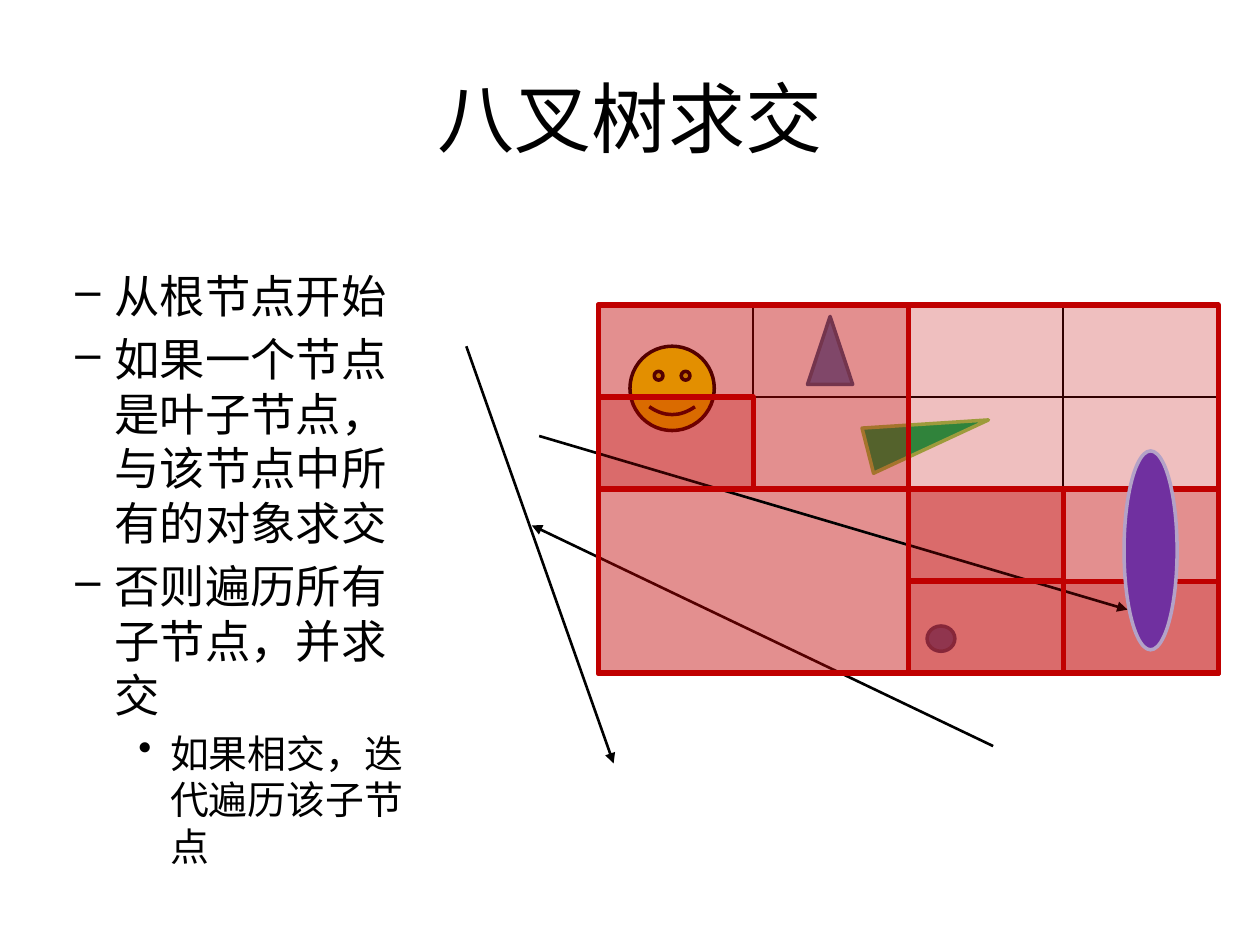
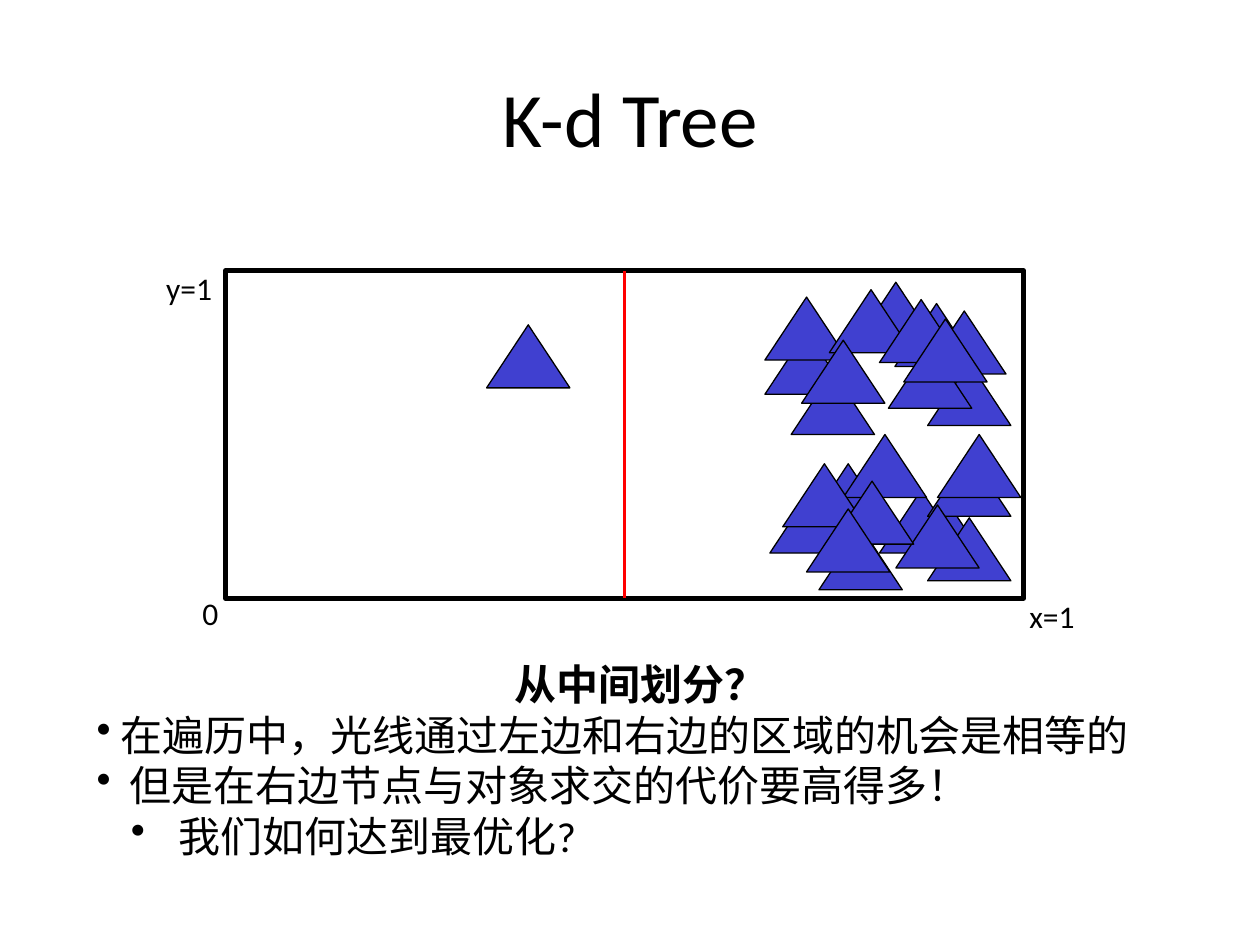
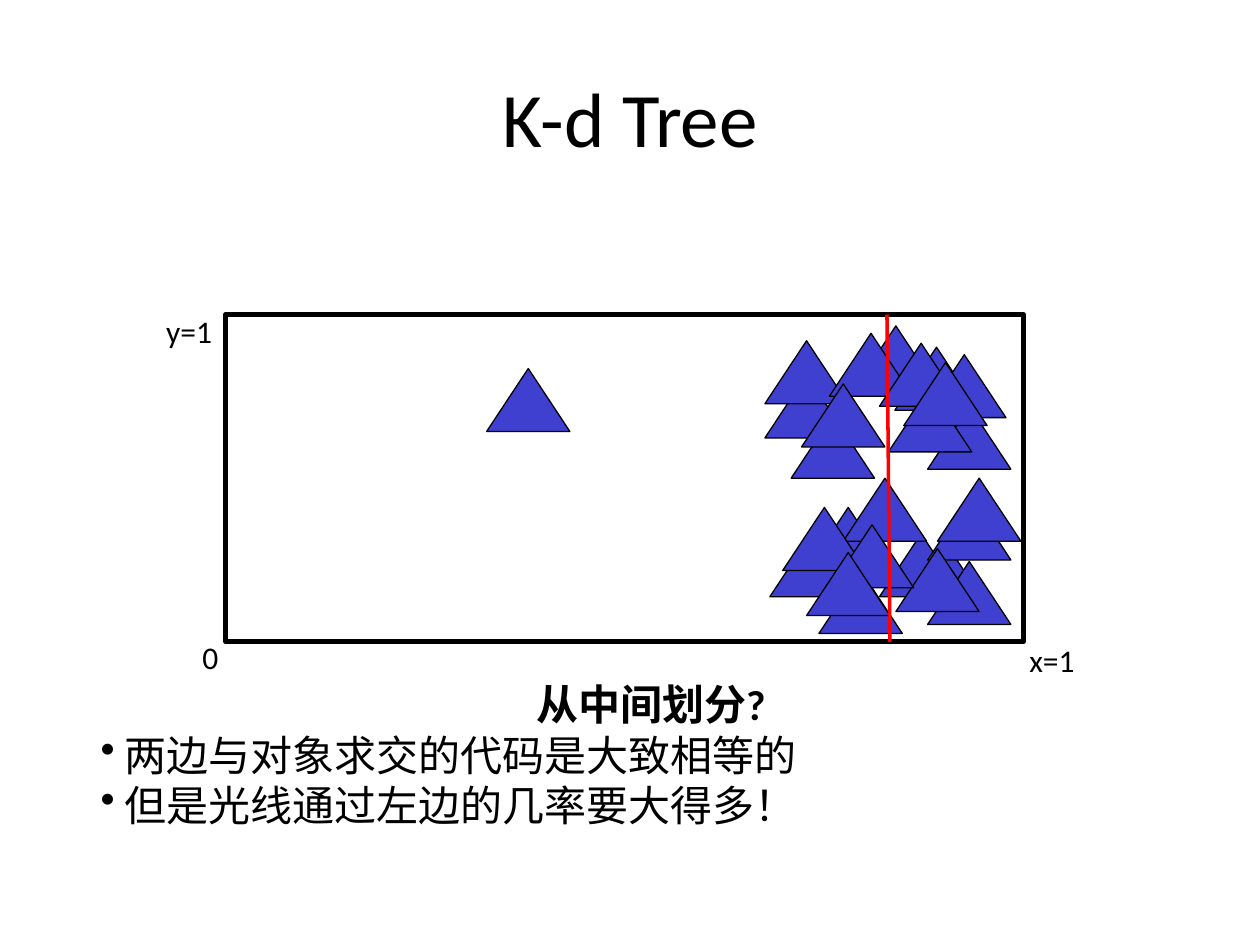
from dataclasses import dataclass
from typing import Optional

from lxml import etree
from pptx import Presentation
from pptx import util as u
from pptx.dml.color import RGBColor
from pptx.enum import shapes, text
from pptx.oxml.ns import qn

Cm, Pt = u.Cm, u.Pt
SHAPE = shapes.MSO_SHAPE
CENTER = text.PP_ALIGN.CENTER
FONT = "Calibri"
BLACK, RED, DARK_RED = "000000", "FF0000", "C00000"
BLUE, BLUE_EDGE, TREE_BLUE = "4F81BD", "3A5F8C", "4040D0"

# Octree grid: 4 x 4 leaf cells (cm)
GRID_X, GRID_Y = 12.06, 6.15
CELL_W, CELL_H = 12.5 / 4, 7.42 / 4

# Scene box of the k-d tree slides (cm)
BOX_X, BOX_W, BOX_H = 4.55, 16.08, 6.6
TRI_W, TRI_H = 1.68, 1.27
MIDDLE = BOX_W / 2

# Triangle positions from the top left of the scene box
TRIANGLES = [
    (13.67, 4.6), (13.18, 4.42), (13.49, 0.66), (11.4, 2.03), (14.15, 1.85),
    (10.87, 1.22), (11.71, 3.89), (14.15, 4.98), (12.45, 3.3), (12.67, 0.23),
    (10.97, 4.42), (14.15, 3.68), (11.23, 3.89), (14.35, 3.3), (10.87, 0.53),
    (11.96, 5.16), (13.36, 1.5), (13.51, 4.72), (14.05, 0.81), (12.17, 0.38),
    (12.19, 4.24), (5.26, 1.09), (13.18, 0.58), (13.67, 0.97), (11.71, 4.8),
    (11.61, 1.4),
]


@dataclass
class Box:
    x: float
    y: float
    w: float
    h: float

    def emu(self) -> list:
        return [Cm(v) for v in (self.x, self.y, self.w, self.h)]


@dataclass
class Para:
    text: str
    size: float = 24
    bold: bool = False
    align: Optional[int] = None
    bullet: str = ""
    left: float = 0
    hang: float = 0
    before: float = 0


@dataclass
class Item:
    kind: int
    box: Box
    fill: Optional[str]
    line: str
    width: float = 2
    rotation: float = 0
    alpha: int = 100


@dataclass
class Node:
    """Square of `span` leaf cells, starting at a column and row of the grid."""
    col: int
    row: int
    span: int

    def box(self) -> Box:
        return Box(GRID_X + self.col * CELL_W, GRID_Y + self.row * CELL_H,
                   self.span * CELL_W, self.span * CELL_H)


@dataclass
class Ray:
    x1: float
    y1: float
    x2: float
    y2: float


@dataclass
class Label:
    text: str
    x: float
    dy: float
    w: float
    wrap: bool = False


@dataclass
class Scene:
    top: float
    split: float
    text_box: Box
    paras: list


INNER_NODES = [Node(0, 0, 4), Node(0, 0, 2), Node(0, 2, 2), Node(2, 2, 2)]
LEAVES = [Node(c, r, 1) for c, r in ((0, 0), (0, 1), (1, 1), (2, 1), (2, 0),
                                     (3, 0), (2, 3), (2, 2), (3, 2))]
HIT_LEAVES = [Node(c, r, 1) for c, r in ((0, 1), (2, 3), (2, 2), (3, 3))]
MISSING_RAYS = [Ray(9.4, 6.98, 12.37, 15.39), Ray(20.02, 15.04, 10.72, 10.59)]
HITTING_RAY = Ray(10.87, 8.79, 22.73, 12.29)
OBJECTS = [
    Item(SHAPE.SMILEY_FACE, Box(12.7, 6.98, 1.7, 1.7), "FFFF00", BLACK),
    Item(SHAPE.ISOSCELES_TRIANGLE, Box(16.28, 6.38, 0.91, 1.37), BLUE, BLUE_EDGE),
    Item(SHAPE.ISOSCELES_TRIANGLE, Box(18.24, 7.52, 0.94, 2.51), "00B050", "92D050",
         rotation=75.7),
    Item(SHAPE.OVAL, Box(18.69, 12.62, 0.56, 0.51), BLUE, BLUE_EDGE),
]
HIT_OBJECT = Item(SHAPE.OVAL, Box(22.66, 9.09, 1.07, 4.01), "7030A0", "B3A2C7")

AXIS_LABELS = [Label("0", 3.83, 6.4, 0.84), Label("x=1", 20.5, 6.45, 1.42),
               Label("y=1", 3.1, -0.17, 1.75, True)]


def rgb(value: str) -> RGBColor:
    return RGBColor.from_string(value)


def add_text(s, box: Box, paras: list, wrap: bool = True, middle: bool = False) -> None:
    tf = s.shapes.add_textbox(*box.emu()).text_frame
    tf.word_wrap = wrap
    if middle:
        tf.vertical_anchor = text.MSO_ANCHOR.MIDDLE
    for i, para in enumerate(paras):
        p = tf.paragraphs[0] if i == 0 else tf.add_paragraph()
        if para.bullet:
            ppr = p._p.get_or_add_pPr()
            ppr.set("marL", str(Cm(para.left)))
            ppr.set("indent", str(-Cm(para.hang)))
            etree.SubElement(ppr, qn("a:buChar")).set("char", para.bullet)
        p.alignment = para.align
        if para.before:
            p.space_before = Pt(para.before)
        r = p.add_run()
        r.text = para.text
        r.font.name = FONT
        r.font.size = Pt(para.size)
        r.font.bold = para.bold
        r.font.color.rgb = rgb(BLACK)


def add_item(s, item: Item):
    sp = s.shapes.add_shape(item.kind, *item.box.emu())
    sp.shadow.inherit = False
    sp.rotation = item.rotation
    if item.fill:
        sp.fill.solid()
        sp.fill.fore_color.rgb = rgb(item.fill)
        if item.alpha < 100:
            color = sp._element.spPr.find(qn("a:solidFill"))[0]
            etree.SubElement(color, qn("a:alpha")).set("val", str(item.alpha * 1000))
    else:
        sp.fill.background()
    sp.line.color.rgb = rgb(item.line)
    sp.line.width = Pt(item.width)
    return sp


def add_line(s, ray: Ray, color: str, width: float, arrow: bool = False):
    ends = [Cm(v) for v in (ray.x1, ray.y1, ray.x2, ray.y2)]
    cx = s.shapes.add_connector(shapes.MSO_CONNECTOR.STRAIGHT, *ends)
    cx.line.color.rgb = rgb(color)
    cx.line.width = Pt(width)
    if arrow:
        tail = etree.SubElement(cx.line._get_or_add_ln(), qn("a:tailEnd"))
        tail.set("type", "triangle")
    etree.SubElement(cx._element.spPr, qn("a:effectLst"))
    return cx


def add_slide(prs, title: str):
    s = prs.slides.add_slide(prs.slide_layouts[6])
    add_text(s, Box(1.27, 0.76, 22.86, 3.18), [Para(title, 44, align=CENTER)], middle=True)
    return s


def add_grid_node(s, node: Node) -> None:
    add_item(s, Item(SHAPE.RECTANGLE, node.box(), None, BLACK, 1))


def add_hit_node(s, node: Node) -> None:
    add_item(s, Item(SHAPE.RECTANGLE, node.box(), DARK_RED, DARK_RED, 3, alpha=25))


def build_octree(prs) -> None:
    s = add_slide(prs, "八叉树求交")
    steps = ["从根节点开始", "如果一个节点是叶子节点，与该节点中所有的对象求交",
             "否则遍历所有子节点，并求交"]
    paras = [Para(step, 25.9, bullet="–", left=2.06, hang=0.79, before=5.18 if i else 0)
             for i, step in enumerate(steps)]
    paras.append(Para("如果相交，迭代遍历该子节点", 22.2, bullet="•",
                      left=3.18, hang=0.64, before=4.44))
    add_text(s, Box(0, 5.28, 8.69, 10.16), paras)
    for ray in MISSING_RAYS:
        add_line(s, ray, BLACK, 1.5, arrow=True)
    for item in OBJECTS:
        add_item(s, item)
    for node in INNER_NODES + LEAVES:
        add_grid_node(s, node)
    for node in INNER_NODES:
        add_hit_node(s, node)
    add_line(s, HITTING_RAY, BLACK, 1.5, arrow=True)
    for node in HIT_LEAVES:
        add_hit_node(s, node)
    add_item(s, HIT_OBJECT)


def build_kd_tree(prs, scene: Scene) -> None:
    s = add_slide(prs, "K-d Tree")
    frame = add_item(s, Item(SHAPE.RECTANGLE, Box(BOX_X, scene.top, BOX_W, BOX_H),
                             None, BLACK, 3))
    for dx, dy in TRIANGLES:
        box = Box(BOX_X + dx, scene.top + dy, TRI_W, TRI_H)
        add_item(s, Item(SHAPE.ISOSCELES_TRIANGLE, box, TREE_BLUE, BLACK, 0.75))
    x = BOX_X + scene.split
    split = add_line(s, Ray(x - 0.03, scene.top, x + 0.03, scene.top + BOX_H), RED, 2)
    if scene.split == MIDDLE:
        split.begin_connect(frame, 0)
        split.end_connect(frame, 2)
    for label in AXIS_LABELS:
        add_text(s, Box(label.x, scene.top + label.dy, label.w, 1.02),
                 [Para(label.text, 18)], label.wrap)
    add_text(s, scene.text_box, scene.paras)


SCENES = [
    Scene(5.46, MIDDLE, Box(1.7, 13.16, 22.43, 4.95), [
        Para("从中间划分？", bold=True, align=CENTER),
        Para("在遍历中，光线通过左边和右边的区域的机会是相等的",
             bullet="•", left=0.48, hang=0.48),
        Para("但是在右边节点与对象求交的代价要高得多！", bullet="•", left=0.66, hang=0.66),
        Para("我们如何达到最优化?", bullet="•", left=1.65, hang=0.96),
    ]),
    Scene(6.34, 13.36, Box(1.78, 13.56, 22.68, 3.33), [
        Para("从中间划分?", bold=True, align=CENTER),
        Para("两边与对象求交的代码是大致相等的", bullet="•", left=0.48, hang=0.48),
        Para("但是光线通过左边的几率要大得多！", bullet="•", left=0.48, hang=0.48),
    ]),
]


def main() -> None:
    prs = Presentation()
    prs.slide_width, prs.slide_height = Cm(25.4), Cm(19.05)
    build_octree(prs)
    for scene in SCENES:
        build_kd_tree(prs, scene)
    prs.save("out.pptx")


if __name__ == "__main__":
    main()
